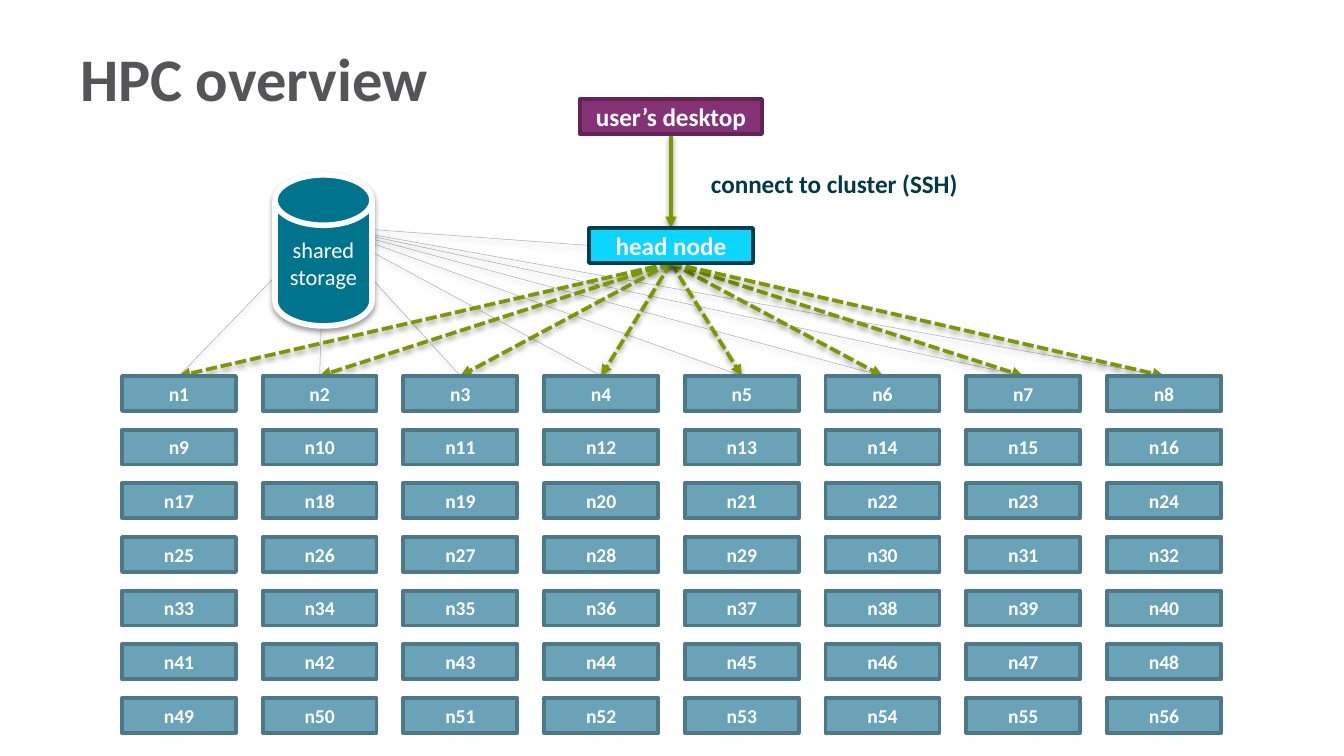
from lxml import etree
from pptx import Presentation, util as u
from pptx.dml.color import RGBColor
from pptx.enum import dml, shapes, text
from pptx.oxml import ns

COLORS = {
    "title": "555559", "label": "003A46", "white": "FFFFFF",
    "storage": "00748C", "desktop": "853175", "desktop_edge": "622457",
    "head": "0CD5FF", "head_edge": "00404E",
    "node": "6AA2B8", "node_edge": "4E7888",
    "wire": "A9A9AD", "arrow": "799900", "shadow": "000000",
}
RECT = shapes.MSO_SHAPE.RECTANGLE
DISK = shapes.MSO_SHAPE.FLOWCHART_MAGNETIC_DISK
TOP, LEFT, BOTTOM = 0, 1, 2

SLIDE = (1344, 756)
TITLE = ("HPC overview", (67, 32, 1083, 81), 32.4, "title", (13, 16, 13, 7))
CAPTION = ("connect to cluster (SSH)", (698, 161, 277, 44), 13.5, "label", (13, 7, 13, 7))
STORAGE = {"lines": ["shared", "storage"], "place": (275, 175, 97, 151), "kind": DISK,
           "fill": "storage", "edge": "white", "weight": 3, "size": 12, "bold": False}
DESKTOP = {"lines": ["user’s desktop"], "place": (580, 99, 182, 35),
           "fill": "desktop", "edge": "desktop_edge", "size": 13.5}
HEAD = {"lines": ["head node"], "place": (589, 228, 164, 35),
        "fill": "head", "edge": "head_edge", "size": 13.5}
NODE = {"fill": "node", "edge": "node_edge", "size": 10.5}
NODE_SIZE = (114, 35)
COLUMNS, FIRST_X, LAST_X = 8, 122, 1107
ROWS, FIRST_Y, LAST_Y = 7, 376, 698
STORAGE_CENTER = (324, 226)


def px(value):
    return u.Emu(round(value * 914400 / 134.4))


def color(name):
    return RGBColor.from_string(COLORS[name])


def write(shape, lines, size, shade, bold=True, align=None, margins=(0, 0, 0, 0), wrap=True):
    frame = shape.text_frame
    settings = {"word_wrap": wrap, "vertical_anchor": text.MSO_ANCHOR.MIDDLE}
    for side, margin in zip(("left", "top", "right", "bottom"), margins):
        settings["margin_" + side] = px(margin)
    for name, value in settings.items():
        setattr(frame, name, value)
    for index, line in enumerate(lines):
        para = frame.add_paragraph() if index else frame.paragraphs[0]
        para.alignment = align
        span = para.add_run()
        span.text = line
        for name, value in {"name": "Calibri", "size": u.Pt(size), "bold": bold}.items():
            setattr(span.font, name, value)
        span.font.color.rgb = color(shade)


def add_text(page, words, place, size, shade, margins, wrap=True):
    box = page.shapes.add_textbox(*map(px, place))
    write(box, [words], size, shade, margins=margins, wrap=wrap)


def add_shadow(effects):
    shadow = etree.SubElement(effects, ns.qn("a:outerShdw"), blurRad="39400",
                              dist="20300", dir="5400000", rotWithShape="0")
    shade = etree.SubElement(shadow, ns.qn("a:srgbClr"), val=COLORS["shadow"])
    etree.SubElement(shade, ns.qn("a:alpha"), val="38000")


def add_box(page, lines, place, fill, edge, size, kind=RECT, weight=2, bold=True):
    box = page.shapes.add_shape(kind, *map(px, place))
    box.shadow.inherit = False
    box.fill.solid()
    box.fill.fore_color.rgb = color(fill)
    box.line.color.rgb = color(edge)
    box.line.width = u.Pt(weight)
    write(box, lines, size, "white", bold, text.PP_ALIGN.CENTER)
    return box


def add_line(page, behind, shade, weight, start, end=None, point=(0, 0), dashed=False):
    line = page.shapes.add_connector(shapes.MSO_CONNECTOR.STRAIGHT, 0, 0, *map(px, point))
    line.begin_connect(*start)
    if end:
        line.end_connect(*end)
    line.line.color.rgb = color(shade)
    line.line.width = u.Pt(weight)
    if dashed:
        line.line.dash_style = dml.MSO_LINE.SQUARE_DOT
    properties = line._element.spPr
    if end:
        etree.SubElement(properties.find(ns.qn("a:ln")), ns.qn("a:tailEnd"), type="triangle")
    add_shadow(etree.SubElement(properties, ns.qn("a:effectLst")))
    behind._element.addprevious(line._element)


def main():
    deck = Presentation()
    deck.slide_width, deck.slide_height = map(px, SLIDE)
    page = deck.slides.add_slide(deck.slide_layouts[6])

    add_text(page, *TITLE)
    add_text(page, *CAPTION, wrap=False)
    storage = add_box(page, **STORAGE)
    add_shadow(storage._element.spPr.find(ns.qn("a:effectLst")))
    desktop = add_box(page, **DESKTOP)
    head = add_box(page, **HEAD)

    nodes = []
    step_x = (LAST_X - FIRST_X) / (COLUMNS - 1)
    step_y = (LAST_Y - FIRST_Y) / (ROWS - 1)
    for index in range(ROWS * COLUMNS):
        row, column = divmod(index, COLUMNS)
        place = (FIRST_X + column * step_x, FIRST_Y + row * step_y, *NODE_SIZE)
        nodes.append(add_box(page, [f"n{index + 1}"], place, **NODE))

    first_row = nodes[:COLUMNS]
    for start in [(head, LEFT)] + [(node, TOP) for node in first_row]:
        add_line(page, storage, "wire", 0.25, start, point=STORAGE_CENTER)
    for node in first_row:
        add_line(page, storage, "arrow", 2, (head, BOTTOM), (node, TOP), dashed=True)
    add_line(page, storage, "arrow", 2, (desktop, BOTTOM), (head, TOP))

    deck.save("out.pptx")


if __name__ == "__main__":
    main()
